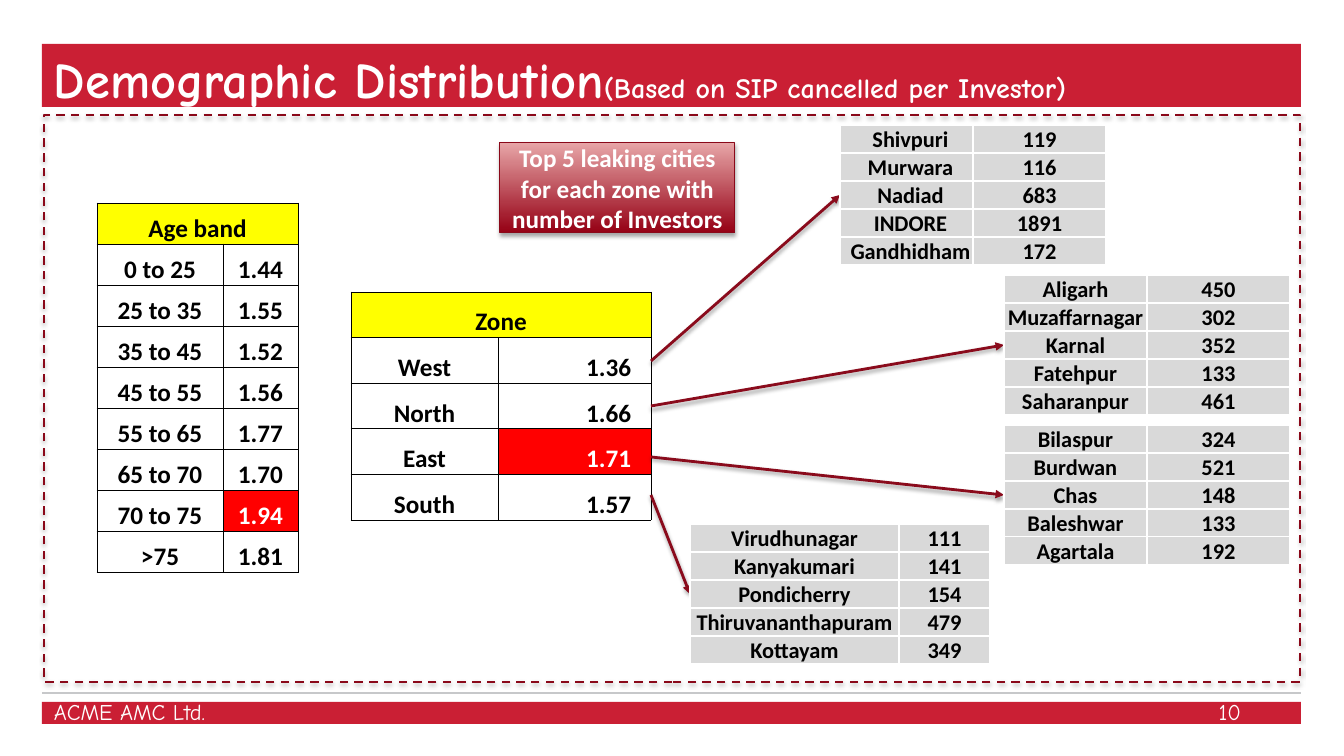
from pptx import Presentation
from pptx import util as u
from pptx.dml.color import RGBColor
from pptx.enum import shapes, text
from pptx.oxml import parse_xml
from pptx.oxml.ns import nsdecls

TITLE = "Demographic Distribution"
SUBTITLE = "(Based on SIP cancelled per Investor)"
CALLOUT = "Top 5 leaking cities for each zone with number of Investors"
FOOTER, PAGE = "ACME AMC Ltd.", "10"

AGE_BANDS = [("0 to 25", "1.44"), ("25 to 35", "1.55"), ("35 to 45", "1.52"),
             ("45 to 55", "1.56"), ("55 to 65", "1.77"), ("65 to 70", "1.70"),
             ("70 to 75", "1.94"), (">75", "1.81")]
ZONES = [("West", "1.36"), ("North", "1.66"), ("East", "1.71"), ("South", "1.57")]

# Per zone: table left and top, column widths, left inset of names, arrow start y, cities
CITIES = {
    "West": (840, 125, (133, 133), 9, 361,
             [("Shivpuri", "119"), ("Murwara", "116"), ("Nadiad", "683"),
              ("INDORE", "1891"), ("Gandhidham", "172")]),
    "North": (1004, 275, (143, 143), 1, 406,
              [("Aligarh", "450"), ("Muzaffarnagar", "302"), ("Karnal", "352"),
               ("Fatehpur", "133"), ("Saharanpur", "461")]),
    "East": (1004, 425, (143, 143), 1, 457,
             [("Bilaspur", "324"), ("Burdwan", "521"), ("Chas", "148"),
              ("Baleshwar", "133"), ("Agartala", "192")]),
    "South": (690, 524, (209, 91), 1, 495,
              [("Virudhunagar", "111"), ("Kanyakumari", "141"), ("Pondicherry", "154"),
               ("Thiruvananthapuram", "479"), ("Kottayam", "349")]),
}
CITY_HEIGHT = 140
ZONE_LEFT, ZONE_COLS = 351, (147, 153)


class Theme:
    red, frame, arrow, rule = "CA1F34", "8A0819", "8A0B1C", "C7C8CA"
    dark, light = "950014", "E7A5A7"
    header, alert, grey = "FFFF00", "FF0000", "D9D9D9"
    black, white = "000000", "FFFFFF"
    display, body = "Comic Neue", "Calibri"
    title, subtitle, table, small = 36, 20, 18, 16


T = Theme
PX = 914400 / 100.8


def px(n):
    return u.Emu(round(n * PX))


def rgb(value):
    return RGBColor.from_string(value)


def style(font, size, color, name, bold=False):
    font.size, font.name, font.bold = u.Pt(size), name, bold
    font.color.rgb = rgb(color)


def cast_shadow(sp, alpha):
    sp._element.spPr.append(parse_xml(
        f'<a:effectLst {nsdecls("a")}><a:outerShdw blurRad="39370" dist="22860" dir="5400000" '
        f'rotWithShape="0"><a:srgbClr val="000000"><a:alpha val="{alpha * 1000}"/>'
        '</a:srgbClr></a:outerShdw></a:effectLst>'))


def add_rect(s, x, y, w, h):
    return s.shapes.add_shape(shapes.MSO_SHAPE.RECTANGLE, px(x), px(y), px(w), px(h))


def add_bar(s, x, y, w, h):
    sp = add_rect(s, x, y, w, h)
    sp.shadow.inherit = False
    sp.fill.solid()
    sp.fill.fore_color.rgb = rgb(T.red)
    sp.line.fill.background()


def add_text(s, x, y, w, h, runs, align=text.PP_ALIGN.LEFT, before=0):
    """Add one paragraph made of (text, size, bold) runs."""
    tf = s.shapes.add_textbox(px(x), px(y), px(w), px(h)).text_frame
    tf.word_wrap = True
    p = tf.paragraphs[0]
    p.alignment, p.space_before = align, u.Pt(before)
    for words, size, bold in runs:
        r = p.add_run()
        r.text = words
        style(r.font, size, T.white, T.display, bold)


def add_line(s, x1, y1, x2, y2, color, width):
    line = s.shapes.add_connector(shapes.MSO_CONNECTOR.STRAIGHT, px(x1), px(y1), px(x2), px(y2))
    line.line.color.rgb = rgb(color)
    line.line.width = u.Pt(width)
    return line


def add_arrow(s, *points):
    arrow = add_line(s, *points, T.arrow, 2)
    arrow.line._get_or_add_ln().append(parse_xml(f'<a:tailEnd {nsdecls("a")} type="triangle"/>'))
    cast_shadow(arrow, 38)


def format_cell(cell, words, size, fill, border, width, color=T.black):
    cell.margin_left = cell.margin_right = cell.margin_top = px(1)
    cell.margin_bottom = 0
    cell.vertical_anchor = text.MSO_ANCHOR.BOTTOM
    p = cell.text_frame.paragraphs[0]
    p.text, p.alignment = words, text.PP_ALIGN.CENTER
    style(p.font, size, color, T.body, True)
    tc_pr = cell._tc.get_or_add_tcPr()
    for side in "LRTB":
        tc_pr.append(parse_xml(
            f'<a:ln{side} {nsdecls("a")} w="{u.Pt(width)}"><a:solidFill>'
            f'<a:srgbClr val="{border}"/></a:solidFill></a:ln{side}>'))
    if fill:
        cell.fill.solid()
        cell.fill.fore_color.rgb = rgb(fill)
    else:
        cell.fill.background()


def add_grid(s, x, y, cols, height, rows):
    table = s.shapes.add_table(rows, len(cols), px(x), px(y), px(sum(cols)), px(height)).table
    table.first_row = table.horz_banding = False
    for column, width in zip(table.columns, cols):
        column.width = px(width)
    for row in table.rows:
        row.height = px(height / rows)
    return table


def add_band_table(s, x, y, cols, height, heading, data, worst):
    """Add a bordered table with a merged heading and the worst value marked."""
    table = add_grid(s, x, y, cols, height, len(data) + 1)
    for i, row in enumerate([(heading, "")] + data):
        for j, words in enumerate(row):
            marked = words == worst
            fill = T.header if i == 0 else T.alert if marked else None
            format_cell(table.cell(i, j), words, T.table, fill, T.black, 0.5,
                        T.white if marked else T.black)
    table.cell(0, 0).merge(table.cell(0, 1))
    return table


def add_city_table(s, x, y, cols, inset, data):
    table = add_grid(s, x, y, cols, CITY_HEIGHT, len(data))
    for i, row in enumerate(data):
        for j, words in enumerate(row):
            format_cell(table.cell(i, j), words, T.small, T.grey, T.white, 1)
        table.cell(i, 0).margin_left = px(inset)


def add_frame(s):
    sp = add_rect(s, 44, 115, 1256, 567)
    sp.fill.background()
    sp.line.color.rgb = rgb(T.frame)
    sp.line.width = u.Pt(1.5)
    sp.line._get_or_add_ln().append(parse_xml(f'<a:prstDash {nsdecls("a")} val="dash"/>'))
    cast_shadow(sp, 35)


def add_callout(s):
    sp = add_rect(s, 500, 143, 235, 90)
    sp.fill.gradient()
    sp.fill.gradient_angle = 90
    for stop, color in zip(sp.fill.gradient_stops, (T.dark, T.light)):
        stop.color.rgb = rgb(color)
    for stop, position in zip(sp.fill.gradient_stops, (0, 1)):
        stop.position = position
    sp.line.color.rgb = rgb(T.frame)
    sp.line.width = u.Pt(0.75)
    cast_shadow(sp, 35)
    tf = sp.text_frame
    tf.word_wrap, tf.vertical_anchor = True, text.MSO_ANCHOR.MIDDLE
    p = tf.paragraphs[0]
    p.text, p.alignment = CALLOUT, text.PP_ALIGN.CENTER
    style(p.font, T.table, T.white, T.body, True)


def main():
    prs = Presentation()
    prs.slide_width, prs.slide_height = px(1344), px(756)
    s = prs.slides.add_slide(prs.slide_layouts[6])

    add_bar(s, 42, 44, 1259, 63)
    add_bar(s, 42, 702, 1259, 22)
    rule = add_line(s, 42, 693, 1301, 693, T.rule, 1)
    rule._element.spPr.append(parse_xml(f'<a:effectLst {nsdecls("a")}/>'))
    add_text(s, 44, 693, 425, 40, [(FOOTER, T.small, False)])
    add_text(s, 949, 693, 302, 40, [(PAGE, T.small, False)], text.PP_ALIGN.RIGHT)
    add_text(s, 44, 43, 1208, 86, [(TITLE, T.title, True), (SUBTITLE, T.subtitle, True)], before=7)
    add_frame(s)

    add_band_table(s, 97, 203, (126, 75), 370, "Age band", AGE_BANDS, "1.94")
    zones = add_band_table(s, ZONE_LEFT, 292, ZONE_COLS, 228, "Zone", ZONES, "1.71")
    for i in range(1, len(ZONES) + 1):
        cell = zones.cell(i, 1)
        cell.margin_right = px(20)
        cell.text_frame.paragraphs[0].alignment = text.PP_ALIGN.RIGHT

    for x, y, cols, inset, start, data in CITIES.values():
        add_arrow(s, ZONE_LEFT + sum(ZONE_COLS), start, x, y + CITY_HEIGHT / 2)
        add_city_table(s, x, y, cols, inset, data)
    add_callout(s)
    prs.save("out.pptx")


if __name__ == "__main__":
    main()
